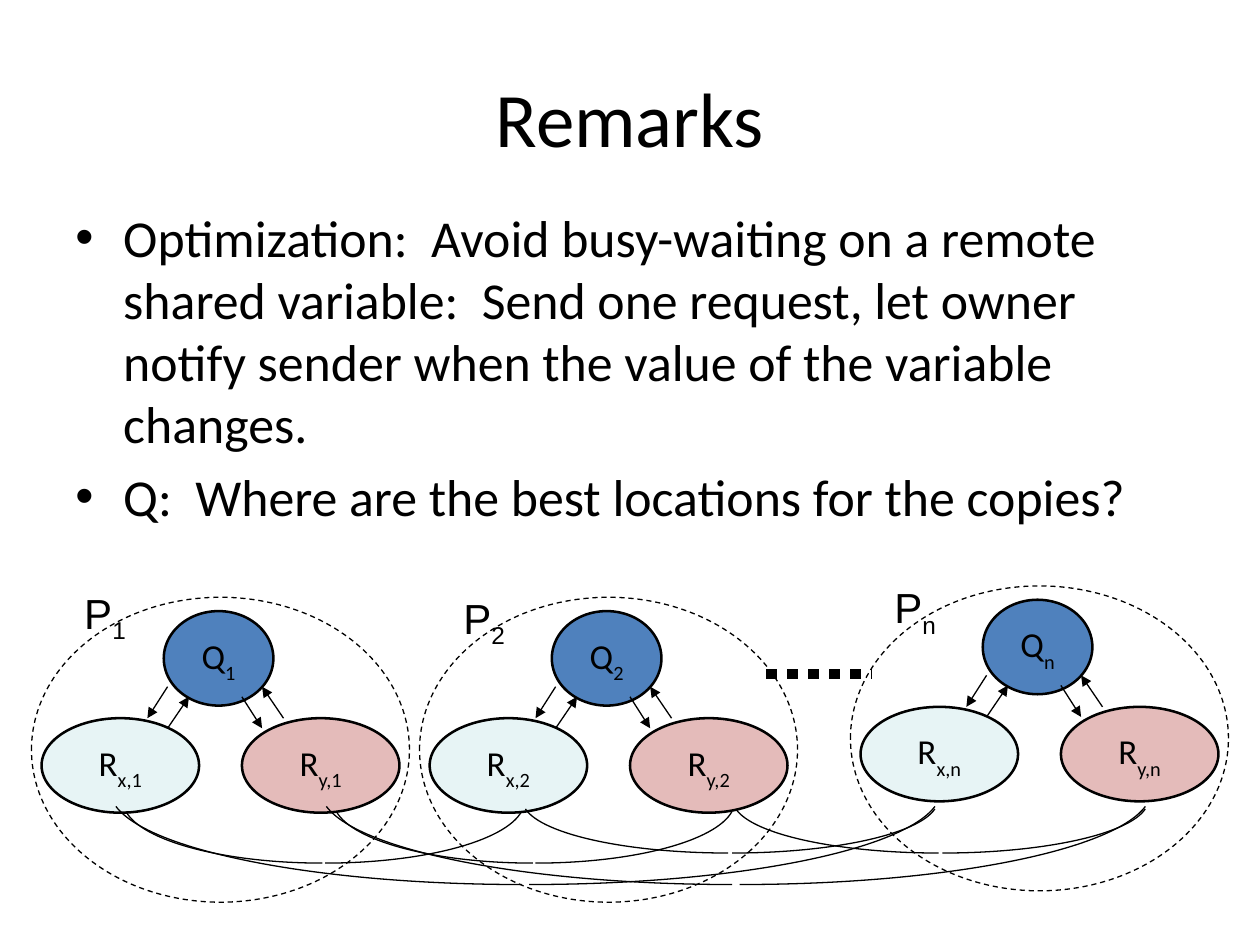
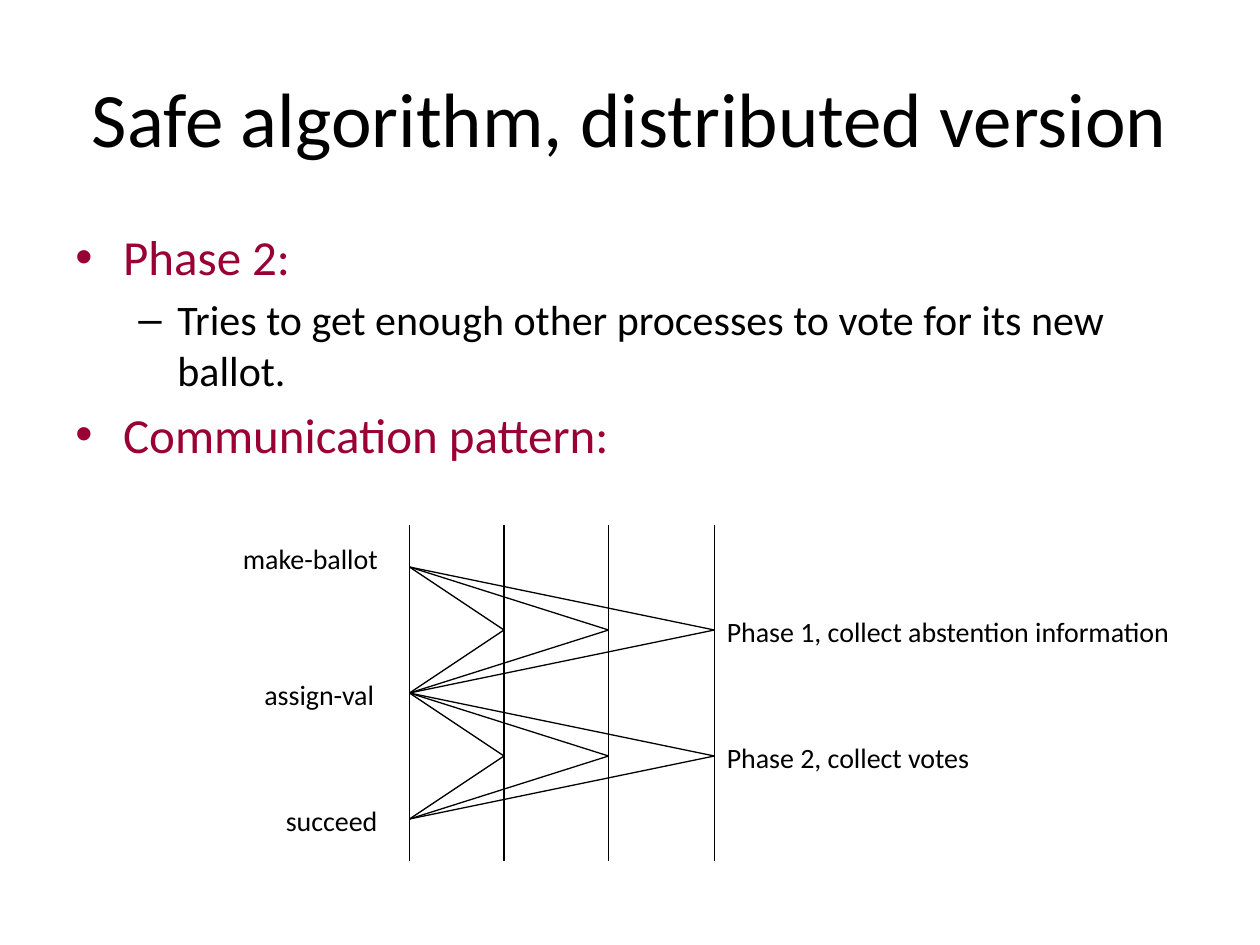
"""Two slides on a distributed algorithm: process copies and voting phases."""
from dataclasses import dataclass

import pptx
import pptx.dml.color
import pptx.enum.dml
import pptx.enum.shapes
import pptx.enum.text
import pptx.oxml.ns
import pptx.oxml.xmlchemy
import pptx.util
from lxml import etree

Inches, Pt = pptx.util.Inches, pptx.util.Pt
qn = pptx.oxml.ns.qn
DASH = pptx.enum.dml.MSO_LINE
ALIGN = pptx.enum.text.PP_ALIGN
ANCHOR = pptx.enum.text.MSO_ANCHOR
BLACK, BLUE, PALE, PINK, WINE = "000000", "4F81BD", "E7F4F5", "E4BBBA", "990033"
THIN, OUTLINE = 0.75, 1.45


@dataclass
class Bullet:
    """One paragraph of a body text."""
    text: str
    size: float
    color: str = BLACK
    level: int = 0


@dataclass
class Process:
    """A process: its index, outer ellipse corner and label corner."""
    index: str
    left: float
    top: float
    label_left: float
    label_top: float


@dataclass
class Link:
    """A hanging curve between two copies, made of two mirrored halves."""
    left: float
    right: float
    half: float
    end: float
    bottom: float


# Bullet sign, left margin and first line indent of each level
LEVELS = [("\u2022", 0.38, -0.38), ("\u2013", 0.81, -0.31)]

PROCESSES = [
    Process("1", 0.25, 4.74, 0.57, 4.61),
    Process("2", 3.33, 4.74, 3.58, 4.65),
    Process("n", 6.75, 4.65, 7, 4.57),
]
# Offsets inside a process
NODES = [
    ("Q", "", 1.05, 0.11, 0.87, BLUE),
    ("R", "x,", 0.08, 0.96, 1.25, PALE),
    ("R", "y,", 1.67, 0.96, 1.25, PINK),
]
ARROWS = [
    (1.08, 0.71, 0.92, 0.96),
    (1.08, 1.04, 1.25, 0.79),
    (1.67, 0.79, 1.83, 1.04),
    (2, 0.96, 1.83, 0.71),
]
LINKS = [
    Link(1, 4.14, 1.56, 6.44, 6.85),
    Link(4.17, 7.42, 1.61, 6.42, 6.77),
    Link(0.92, 7.42, 3.22, 6.4, 7.02),
]
COPY_SHIFT = 1.67  # from the links of x to those of y


def rgb(color: str) -> pptx.dml.color.RGBColor:
    """Turn a hex string into a colour."""
    return pptx.dml.color.RGBColor.from_string(color)


def add_run(p, text: str, size: float, color: str = BLACK,
            font: str = "Calibri", baseline: int = 0) -> None:
    """Add a run; baseline is a percentage, negative for a subscript."""
    r = p.add_run()
    r.text = text
    r.font.size, r.font.name = Pt(size), font
    r.font.color.rgb = rgb(color)
    if baseline:
        r.font._element.set("baseline", str(baseline * 1000))


def add_text(slide, left: float, top: float, width: float, height: float,
             wrap: bool = True):
    """Add an empty text box and return its text frame."""
    tf = slide.shapes.add_textbox(
        Inches(left), Inches(top), Inches(width), Inches(height)).text_frame
    tf.word_wrap = wrap
    if not wrap:
        tf.auto_size = pptx.enum.text.MSO_AUTO_SIZE.SHAPE_TO_FIT_TEXT
    return tf


def add_title(slide, text: str) -> None:
    """Add the slide title."""
    tf = add_text(slide, 0.5, 0.3, 9, 1.25)
    tf.vertical_anchor = ANCHOR.MIDDLE
    p = tf.paragraphs[0]
    p.alignment = ALIGN.CENTER
    add_run(p, text, 44)


def add_body(slide, top: float, height: float, bullets: list[Bullet]) -> None:
    """Add the bulleted text."""
    tf = add_text(slide, 0.5, top, 9, height)
    for i, bullet in enumerate(bullets):
        p = tf.add_paragraph() if i else tf.paragraphs[0]
        sign, margin, indent = LEVELS[bullet.level]
        p.level = bullet.level
        p.space_before = Pt(0.2 * bullet.size)
        pPr = p._p.get_or_add_pPr()
        pPr.set("marL", str(Inches(margin)))
        pPr.set("indent", str(Inches(indent)))
        etree.SubElement(pPr, qn("a:buFont")).set("typeface", "Arial")
        etree.SubElement(pPr, qn("a:buChar")).set("char", sign)
        add_run(p, bullet.text, bullet.size, bullet.color)


def add_line(slide, x1: float, y1: float, x2: float, y2: float,
             width: float = THIN, arrow: bool = False, dash=None) -> None:
    """Add a straight line, with an arrowhead at its end if asked."""
    line = slide.shapes.add_connector(
        pptx.enum.shapes.MSO_CONNECTOR.STRAIGHT,
        Inches(x1), Inches(y1), Inches(x2), Inches(y2))
    line.line.color.rgb, line.line.width = rgb(BLACK), Pt(width)
    if dash:
        line.line.dash_style = dash
    if arrow:
        ln = line.line._get_or_add_ln()
        etree.SubElement(ln, qn("a:tailEnd")).set("type", "triangle")
    etree.SubElement(line._element.spPr, qn("a:effectLst"))


def add_ellipse(slide, left: float, top: float, width: float, height: float,
                line_width: float, fill: str = ""):
    """Add an ellipse, hollow when no fill is given."""
    sp = slide.shapes.add_shape(
        pptx.enum.shapes.MSO_SHAPE.OVAL,
        Inches(left), Inches(top), Inches(width), Inches(height))
    sp.shadow.inherit = False
    sp.line.color.rgb, sp.line.width = rgb(BLACK), Pt(line_width)
    if fill:
        sp.fill.solid()
        sp.fill.fore_color.rgb = rgb(fill)
    else:
        sp.fill.background()
    return sp


def add_node(slide, left: float, top: float, width: float, fill: str,
             name: str, subscript: str) -> None:
    """Add a variable node with its subscripted name."""
    sp = add_ellipse(slide, left, top, width, 0.75, OUTLINE, fill)
    tf = sp.text_frame
    tf.word_wrap = True
    tf.vertical_anchor = ANCHOR.MIDDLE
    tf.margin_left = tf.margin_right = Inches(0.11)
    tf.margin_top = tf.margin_bottom = Inches(0.06)
    p = tf.paragraphs[0]
    p.alignment, p.line_spacing = ALIGN.CENTER, 1.04
    add_run(p, name, 20)
    add_run(p, subscript, 20, baseline=-33)


def add_half_link(slide, start: float, end: float, bottom: float,
                  end_y: float) -> None:
    """Add a curve from the bottom of a link up to one of its ends."""
    dx, dy = end - start, end_y - bottom
    points = [(start + 0.495 * dx, bottom),
              (start + 0.917 * dx, bottom + 0.42 * dy), (end, end_y)]
    builder = slide.shapes.build_freeform(Inches(start), Inches(bottom))
    builder.add_line_segments(
        [(Inches(x), Inches(y)) for x, y in points], close=False)
    sp = builder.convert_to_shape()
    segments = list(sp._element.iter(qn("a:lnTo")))
    outline = segments[0].getparent()
    curve = etree.SubElement(outline, qn("a:cubicBezTo"))
    for segment in segments:
        curve.append(segment[0])
        outline.remove(segment)
    sp.shadow.inherit = False
    sp.fill.background()
    sp.line.color.rgb, sp.line.width = rgb(BLACK), Pt(THIN)


def add_process(slide, process: Process) -> None:
    """Add the nodes and arrows of one process."""
    for name, prefix, dx, dy, width, fill in NODES:
        add_node(slide, process.left + dx, process.top + dy, width, fill,
                 name, prefix + process.index)
    for x1, y1, x2, y2 in ARROWS:
        add_line(slide, process.left + x1, process.top + y1,
                 process.left + x2, process.top + y2, arrow=True)


def add_boundary(slide, process: Process) -> None:
    """Add the dashed outline and the label of one process."""
    sp = add_ellipse(slide, process.left, process.top, 3, 2.42, THIN)
    sp.line.dash_style = DASH.DASH
    tf = add_text(slide, process.label_left, process.label_top, 0.55, 0.5,
                  wrap=False)
    add_run(tf.paragraphs[0], "P", 24, font="Arial")
    add_run(tf.paragraphs[0], process.index, 24, font="Arial", baseline=-25)


def build_remarks(slide) -> None:
    """Build the slide on where the copies are placed."""
    add_title(slide, "Remarks")
    add_body(slide, 1.58, 2.83, [
        Bullet("Optimization:  Avoid busy-waiting on a remote shared variable:  "
               "Send one request, let owner notify sender when the value of "
               "the variable changes.", 29.6),
        Bullet("Q:  Where are the best locations for the copies?", 29.6),
    ])
    for process in PROCESSES:
        add_process(slide, process)
    add_line(slide, 6.08, 5.35, 6.92, 5.35, width=6, dash=DASH.ROUND_DOT)
    for shift in (0, COPY_SHIFT):
        for link in LINKS:
            left, right = link.left + shift, link.right + shift
            add_half_link(slide, right - link.half, right, link.bottom, link.end)
            add_half_link(slide, left + link.half, left, link.bottom, link.end)
    for process in PROCESSES:
        add_boundary(slide, process)


def build_safe_algorithm(slide) -> None:
    """Build the slide on the communication pattern."""
    add_title(slide, "Safe algorithm, distributed version")
    add_body(slide, 1.75, 4.95, [
        Bullet("Phase 2:", 28, WINE),
        Bullet("Tries to get enough other processes to vote for its new ballot.",
               24, level=1),
        Bullet("Communication pattern:", 28, WINE),
    ])
    leader, others = 3.25, (4, 4.83, 5.67)
    for x in (leader, *others):
        add_line(slide, x, 4.17, x, 6.83)
    for start in (4.5, 5.5):
        for x in others:
            add_line(slide, leader, start, x, start + 0.5)
            add_line(slide, x, start + 0.5, leader, start + 1)
    for text, left, top, width in [
        ("make-ballot", 1.83, 4.25, 1.35),
        ("assign-val", 2, 5.33, 1.2),
        ("succeed", 2.17, 6.33, 1.03),
        ("Phase 1, collect abstention information", 5.67, 4.83, 4.02),
        ("Phase 2, collect votes", 5.67, 5.83, 2.36),
    ]:
        tf = add_text(slide, left, top, width, 0.37, wrap=False)
        add_run(tf.paragraphs[0], text, 16)


def main() -> None:
    """Build and save the presentation."""
    prs = pptx.Presentation()
    prs.slide_width, prs.slide_height = Inches(10), Inches(7.5)
    for build in (build_remarks, build_safe_algorithm):
        build(prs.slides.add_slide(prs.slide_layouts[6]))
    prs.save("out.pptx")


main()
